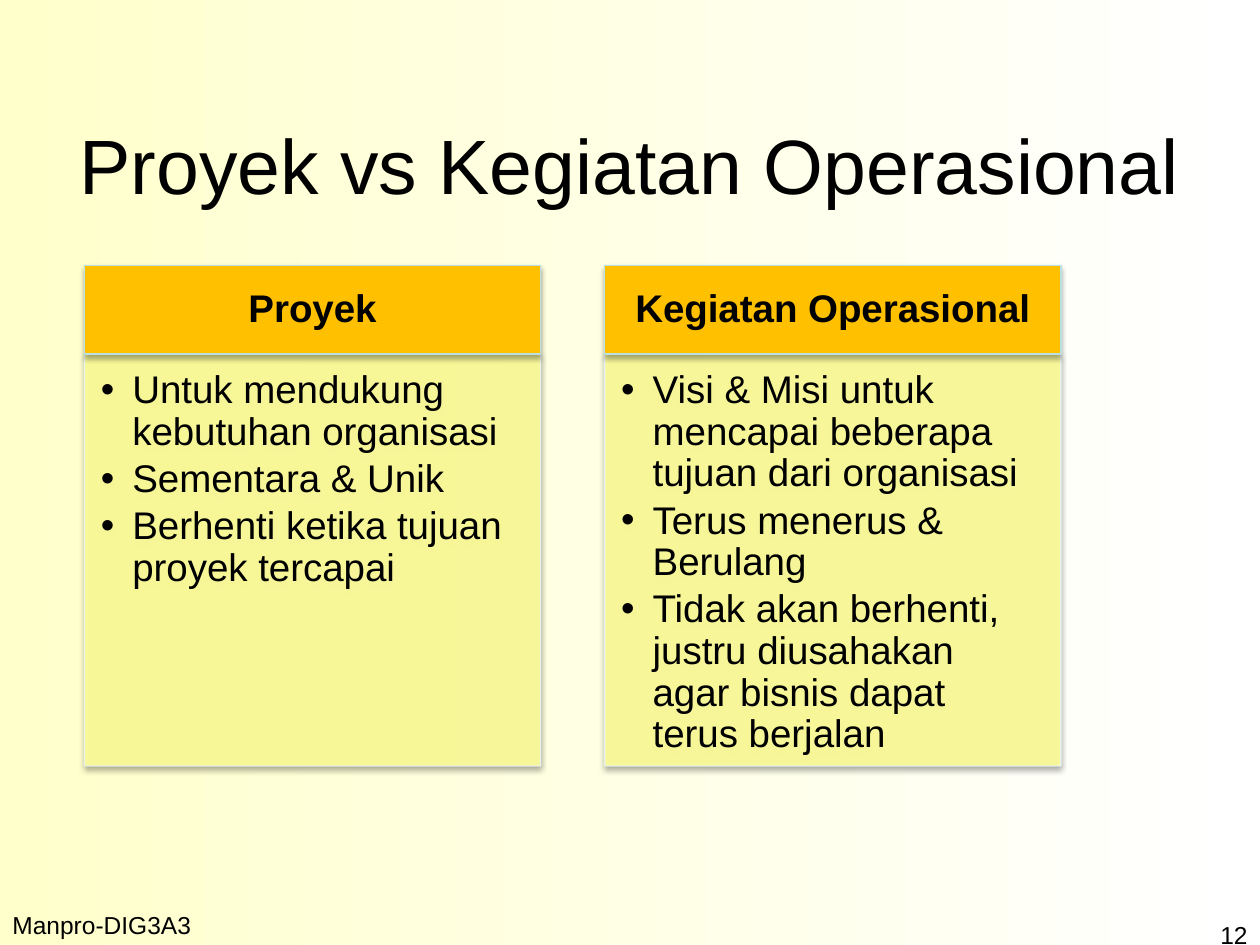
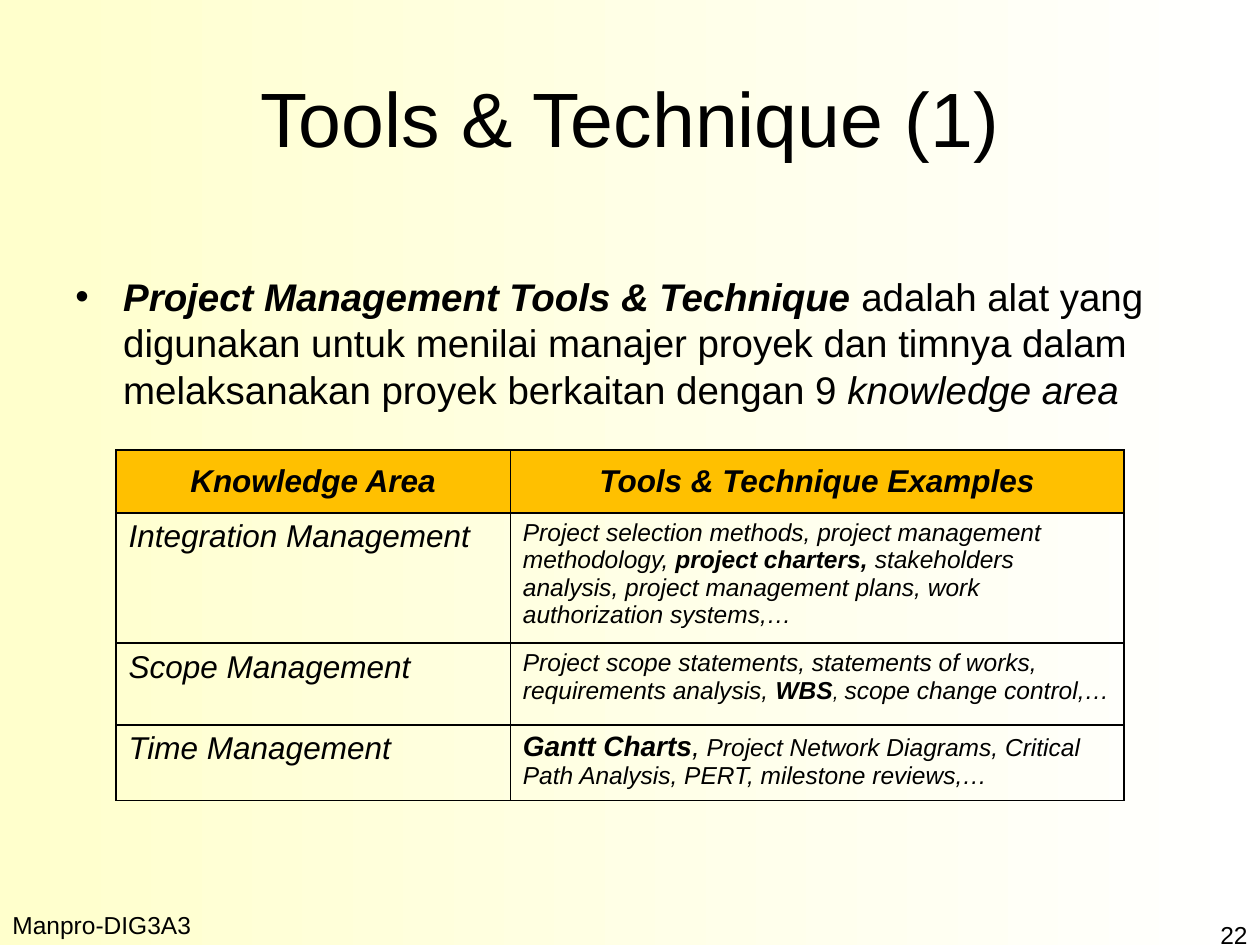
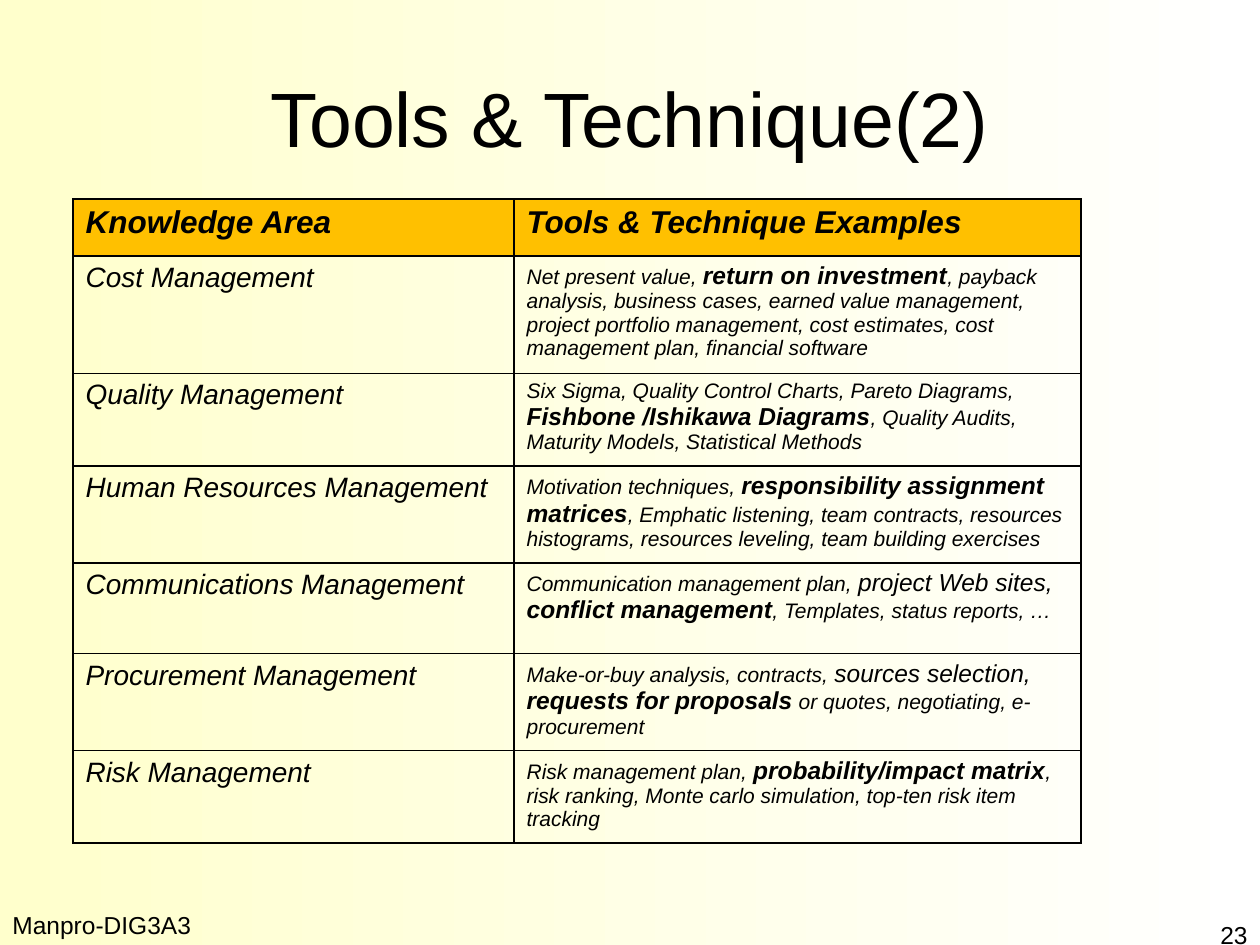
from lxml import etree
from pptx import Presentation
from pptx import util as u
from pptx.dml.color import RGBColor
from pptx.enum import shapes, text
from pptx.oxml.ns import qn

WIDTH, HEIGHT = 10, 7.5
FONT = "Arial"
COLORS = {
    "text": "000000", "cream": "FFFFCC", "white": "FFFFFF", "heading": "FFC000",
    "panel": "FFFF99", "heading_line": "BBE0E3", "panel_line": "E7F3F4",
}
FOOTER = "Manpro-DIG3A3"

# A run is (text, size, style); style holds "b" for bold and "i" for italic.
COMPARISON = [
    ("Proyek", [
        "Untuk mendukung kebutuhan organisasi",
        "Sementara & Unik",
        "Berhenti ketika tujuan proyek tercapai"]),
    ("Kegiatan Operasional", [
        "Visi & Misi untuk mencapai beberapa tujuan dari organisasi",
        "Terus menerus & Berulang",
        "Tidak akan berhenti, justru diusahakan agar bisnis dapat terus berjalan"]),
]
DEFINITION = [
    ("Project Management Tools & Technique", 22, "bi"),
    (" adalah alat yang digunakan untuk menilai manajer proyek dan timnya dalam "
     "melaksanakan proyek berkaitan dengan 9 ", 22, ""),
    ("knowledge area", 22, "i"),
]
TABLE_HEADS = ["Knowledge Area", "Tools & Technique Examples"]
AREAS_1 = [
    ("Integration Management", [
        ("Project selection methods, project management methodology, ", 14, "i"),
        ("project charters, ", 14, "bi"),
        ("stakeholders analysis, project management plans, work authorization "
         "systems,…", 14, "i")]),
    ("Scope Management", [
        ("Project scope statements, statements of works, requirements analysis, ", 14, "i"),
        ("WBS", 14, "bi"), (", ", 12, "i"), ("scope change control,… ", 14, "i")]),
    ("Time Management", [
        ("Gantt Charts", 16, "bi"), (",", 16, "i"),
        (" Project Network Diagrams, Critical Path Analysis, PERT, milestone "
         "reviews,…", 14, "i")]),
]
AREAS_2 = [
    ("Cost Management", [
        ("Net present value, ", 12, "i"), ("return on investment", 14, "bi"),
        (", payback analysis, business cases, earned value management, project "
         "portfolio management, cost estimates, cost management plan, financial "
         "software", 12, "i")]),
    ("Quality Management", [
        ("Six Sigma, Quality Control Charts, Pareto Diagrams, ", 12, "i"),
        ("Fishbone /Ishikawa Diagrams", 14, "bi"),
        (", Quality Audits, Maturity Models, Statistical Methods", 12, "i")]),
    ("Human Resources Management", [
        ("Motivation techniques, ", 12, "i"),
        ("responsibility assignment matrices", 14, "bi"),
        (", Emphatic listening, team contracts, resources histograms, resources "
         "leveling, team building exercises", 12, "i")]),
    ("Communications Management", [
        ("Communication management plan, ", 12, "i"),
        ("project Web sites, ", 14, "i"), ("conflict management", 14, "bi"),
        (", Templates, status reports, …", 12, "i")]),
    ("Procurement Management", [
        ("Make-or-buy analysis, contracts, ", 12, "i"),
        ("sources selection, ", 14, "i"), ("requests for proposals", 14, "bi"),
        (" or quotes, negotiating, e-procurement", 12, "i")]),
    ("Risk Management", [
        ("Risk management plan, ", 12, "i"), ("probability/impact matrix", 14, "bi"),
        (", risk ranking, Monte carlo simulation, top-ten risk item tracking", 12, "i")]),
]


def rgb(name):
    """Return the named palette colour."""
    return RGBColor.from_string(COLORS[name])


def inches(*lengths):
    """Turn plain numbers into lengths."""
    return [u.Inches(length) for length in lengths]


def add_xml(parent, tag, **attributes):
    """Append a DrawingML element and return it."""
    return etree.SubElement(parent, qn("a:" + tag), attributes)


def add_runs(paragraph, runs):
    """Write styled runs into a paragraph."""
    for words, size, style in runs:
        run = paragraph.add_run()
        run.text = words
        font = run.font
        font.name, font.size = FONT, u.Pt(size)
        font.bold, font.italic = "b" in style, "i" in style
        font.color.rgb = rgb("text")


def write(frame, paragraphs, align="LEFT", anchor="TOP", insets=(0.1, 0.05, 0.1, 0.05),
          bullet_indent=0, line=1, before=0, after=0):
    """Fill a text frame with paragraphs, each a list of runs."""
    frame.word_wrap = True
    frame.vertical_anchor = text.MSO_ANCHOR[anchor]
    (frame.margin_left, frame.margin_top,
     frame.margin_right, frame.margin_bottom) = inches(*insets)
    for index, runs in enumerate(paragraphs):
        paragraph = frame.add_paragraph() if index else frame.paragraphs[0]
        paragraph.alignment = text.PP_ALIGN[align]
        paragraph.line_spacing = line
        paragraph.space_before, paragraph.space_after = u.Pt(before), u.Pt(after)
        if bullet_indent:
            properties = paragraph._p.get_or_add_pPr()
            properties.set("marL", str(u.Inches(bullet_indent)))
            properties.set("indent", str(-u.Inches(bullet_indent)))
            add_xml(properties, "buFont", typeface=FONT)
            add_xml(properties, "buChar", char="•")
        add_runs(paragraph, runs)


def add_text(slide, box, paragraphs, **layout):
    """Add a text box at (left, top, width, height)."""
    write(slide.shapes.add_textbox(*inches(*box)).text_frame, paragraphs, **layout)


def add_slide(deck, title, number, title_top=0.3):
    """Add a slide with its title, footer and number."""
    slide = deck.slides.add_slide(deck.slide_layouts[6])
    add_text(slide, (0.5, title_top, WIDTH - 1, 1.25), [[(title, 44, "")]],
             align="CENTER", anchor="MIDDLE")
    add_text(slide, (0, HEIGHT - 0.33, 6.83, 0.33), [[(FOOTER, 14, "")]])
    add_text(slide, (WIDTH - 2.33, HEIGHT - 0.25, 2.33, 0.25),
             [[(str(number), 14, "")]], align="RIGHT")
    return slide


def add_panel(slide, box, fill, line, opacity=100):
    """Add a softly shadowed rectangle and return its text frame."""
    panel = slide.shapes.add_shape(shapes.MSO_SHAPE.RECTANGLE, *inches(*box))
    panel.fill.solid()
    panel.fill.fore_color.rgb = rgb(fill)
    panel.line.color.rgb = rgb(line)
    panel.line.width = u.Pt(0.75)
    if opacity < 100:
        for color in panel._element.spPr.findall(".//" + qn("a:srgbClr")):
            add_xml(color, "alpha", val=str(opacity * 1000))
    panel.shadow.inherit = False
    effects = panel._element.spPr.find(qn("a:effectLst"))
    shadow = add_xml(effects, "outerShdw", blurRad=str(u.Pt(3.1)), dist=str(u.Pt(1.8)),
                     dir="5400000", rotWithShape="0")
    add_xml(add_xml(shadow, "srgbClr", val=COLORS["text"]), "alpha", val="35000")
    return panel.text_frame


def add_comparison(slide, left, top, width, gap, head_height, body_height):
    """Lay out one headed card per side of the comparison."""
    for column, (heading, points) in enumerate(COMPARISON):
        x = left + column * (width + gap)
        body = add_panel(slide, (x, top + head_height, width, body_height),
                         "panel", "panel_line", 90)
        write(body, [[(point, 22, "")] for point in points],
              insets=(0.13, 0.13, 0.17, 0.19), bullet_indent=0.25, line=0.9, after=3.3)
        head = add_panel(slide, (x, top, width, head_height), "heading", "heading_line")
        write(head, [[(heading, 22, "b")]], align="CENTER", anchor="MIDDLE",
              insets=(0.17, 0.1, 0.17, 0.1), line=0.9)


def add_borders(cell):
    """Draw a thin black line on all four sides of a cell."""
    properties = cell._tc.get_or_add_tcPr()
    for side in ("lnL", "lnR", "lnT", "lnB"):
        line = add_xml(properties, side, w=str(u.Pt(1)))
        add_xml(add_xml(line, "solidFill"), "srgbClr", val=COLORS["text"])


def add_area_table(slide, left, top, columns, rows, areas, area_size, **head_layout):
    """Add a table of knowledge areas and their tools."""
    grid = [[[(head, 18, "bi")] for head in TABLE_HEADS]]
    grid += [[[(area, area_size, "i")], tools] for area, tools in areas]
    table = slide.shapes.add_table(len(rows), len(columns), *inches(
        left, top, sum(columns), sum(rows))).table
    table.first_row = table.horz_banding = False
    for column, width in zip(table.columns, columns):
        column.width = u.Inches(width)
    for row, height in zip(table.rows, rows):
        row.height = u.Inches(height)
    for r, contents in enumerate(grid):
        for c, runs in enumerate(contents):
            cell = table.cell(r, c)
            add_borders(cell)
            if r == 0:
                cell.fill.solid()
                cell.fill.fore_color.rgb = rgb("heading")
            else:
                cell.fill.background()
            layout = head_layout if r == 0 else {}
            cell.vertical_anchor = text.MSO_ANCHOR[layout.get("anchor", "TOP")]
            cell.margin_left = cell.margin_right = u.Inches(0.1)
            cell.margin_top = cell.margin_bottom = u.Inches(0.05)
            paragraph = cell.text_frame.paragraphs[0]
            paragraph.alignment = text.PP_ALIGN[layout.get("align", "LEFT")]
            add_runs(paragraph, runs)


deck = Presentation()
deck.slide_width, deck.slide_height = inches(WIDTH, HEIGHT)
backdrop = deck.slide_master.background.fill
backdrop.gradient()
backdrop.gradient_angle = 0
for stop, shade in zip(backdrop.gradient_stops, ("cream", "white")):
    stop.color.rgb = rgb(shade)

versus = add_slide(deck, "Proyek vs Kegiatan Operasional", 12, title_top=0.67)
add_comparison(versus, left=0.67, top=2.11, width=3.62, gap=0.51,
               head_height=0.7, body_height=3.27)

tools_1 = add_slide(deck, "Tools & Technique (1)", 22)
add_text(tools_1, (0.5, 2.12, WIDTH - 1, 1.63), [DEFINITION],
         bullet_indent=0.38, before=4.4)
add_area_table(tools_1, 0.92, 3.57, [3.13, 4.87], [0.5, 1.03, 0.65, 0.6],
               AREAS_1, 18, align="CENTER", anchor="MIDDLE")

tools_2 = add_slide(deck, "Tools & Technique(2)", 23)
add_area_table(tools_2, 0.58, 1.58, [3.5, 4.5],
               [0.45, 0.93, 0.73, 0.77, 0.72, 0.77, 0.73], AREAS_2, 16)

deck.save("out.pptx")
